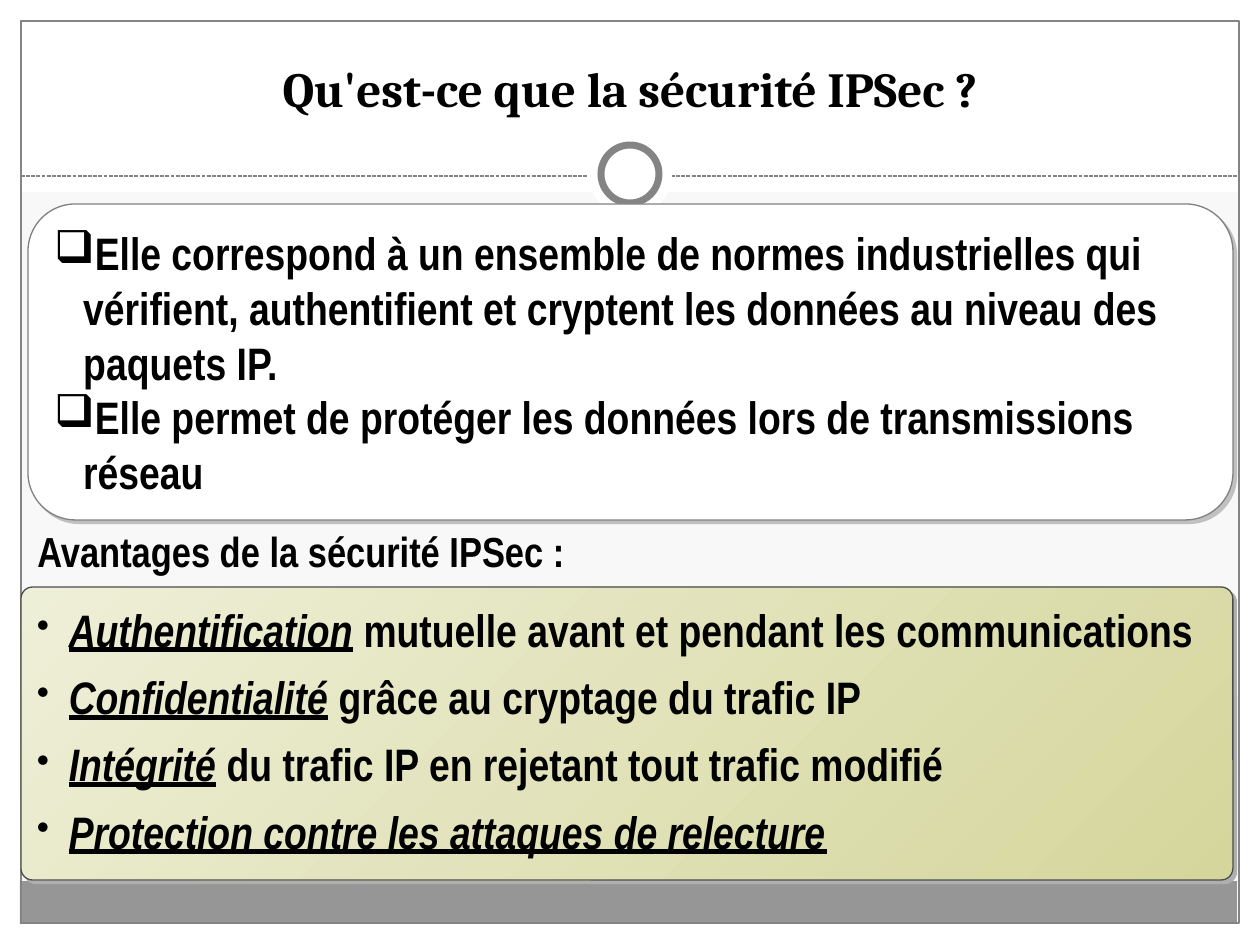
"""Build the slide that introduces IPSec security and its advantages."""
from lxml.etree import SubElement
from pptx import Presentation
from pptx.dml.color import RGBColor
from pptx.enum.dml import MSO_LINE
from pptx.enum.shapes import MSO_CONNECTOR, MSO_SHAPE
from pptx.enum.text import MSO_ANCHOR, MSO_AUTO_SIZE, PP_ALIGN
from pptx.oxml.ns import qn
from pptx.util import Emu, Pt

PX = 914400 / 126
WHITE = RGBColor(0xFF, 0xFF, 0xFF)
BLACK = RGBColor(0, 0, 0)
BACKGROUND = RGBColor(0xF8, 0xF8, 0xF8)
FOOTER_GRAY = RGBColor(0x96, 0x96, 0x96)
RULE_GRAY = RGBColor(0x84, 0x84, 0x84)
DEFINITION_LINE = RGBColor(0x80, 0x80, 0x80)
ADVANTAGE_LINE = RGBColor(0x4D, 0x4D, 0x4D)
ADVANTAGE_FILL = [RGBColor(0xEE, 0xEF, 0xD7), RGBColor(0xD5, 0xD6, 0x9C)]

TITLE = "Qu'est-ce que la sécurité IPSec ?"
DEFINITIONS = [
    ("", "Elle correspond à un ensemble de normes industrielles qui vérifient, "
         "authentifient et cryptent les données au niveau des paquets IP."),
    ("", "Elle permet de protéger les données lors de transmissions réseau"),
]
HEADING = "Avantages de la sécurité IPSec :"
ADVANTAGES = [
    ("Authentification", " mutuelle avant et pendant les communications"),
    ("Confidentialité", " grâce au cryptage du trafic IP"),
    ("Intégrité", " du trafic IP en rejetant tout trafic modifié"),
    ("Protection contre les attaques de relecture", ""),
]

WIDTH, HEIGHT, MARGIN, HEADER, RULE_Y = 1260, 945, 21, 192, 176
FRAME = [
    (MSO_SHAPE.RECTANGLE, (0, HEIGHT - MARGIN, WIDTH, MARGIN), WHITE, None),
    (MSO_SHAPE.RECTANGLE, (0, 0, WIDTH, HEADER), WHITE, None),
    (MSO_SHAPE.RECTANGLE, (0, 0, MARGIN, HEIGHT), WHITE, None),
    (MSO_SHAPE.RECTANGLE, (WIDTH - MARGIN, 0, MARGIN, HEIGHT), WHITE, None),
    (MSO_SHAPE.RECTANGLE, (20, 881, 1217, 43), FOOTER_GRAY, None),
    (MSO_SHAPE.RECTANGLE, (MARGIN, MARGIN, 1218, 902), None, 0.75),
]
RING = [
    (MSO_SHAPE.OVAL, (588, 132, 84, 84), WHITE, None),
    (MSO_SHAPE.OVAL, (601, 145, 58, 58), WHITE, 4),
]
TITLE_FONT = {"name": "Cambria", "size": Pt(28), "bold": True}
BODY_FONT = {"name": "Arial Narrow", "size": Pt(26), "bold": True}
HEADING_FONT = BODY_FONT | {"size": Pt(24)}
KEYWORD_FONT = BODY_FONT | {"italic": True, "underline": True}


def px(*lengths):
    return [Emu(round(length * PX)) for length in lengths]


def format_font(font, values):
    for key, value in values.items():
        setattr(font, key, value)
    font.color.rgb = BLACK


def add_block(slide, kind, box, fill, line_width, line_color=RULE_GRAY):
    block = slide.shapes.add_shape(kind, *px(*box))
    block.shadow.inherit = False
    if fill is None:
        block.fill.background()
    else:
        block.fill.solid()
        block.fill.fore_color.rgb = fill
    if line_width is None:
        block.line.fill.background()
    else:
        block.line.color.rgb = line_color
        block.line.width = Pt(line_width)
    return block


def add_rule(slide):
    ends = px(MARGIN, RULE_Y, WIDTH - MARGIN, RULE_Y)
    rule = slide.shapes.add_connector(MSO_CONNECTOR.STRAIGHT, *ends)
    rule.line.color.rgb = RULE_GRAY
    rule.line.width = Pt(0.75)
    rule.line.dash_style = MSO_LINE.SQUARE_DOT
    SubElement(rule._element.spPr, qn("a:effectLst"))


def add_panel(slide, box, corner, fill, line_color, shadow_color):
    panel = add_block(slide, MSO_SHAPE.ROUNDED_RECTANGLE, box, fill, 0.75, line_color)
    panel.adjustments[0] = corner
    effects = panel._element.spPr.find(qn("a:effectLst"))
    shadow = SubElement(effects, qn("a:outerShdw"), blurRad="0", dist=str(Pt(2.8)),
                        dir="2700000", algn="ctr", rotWithShape="0")
    SubElement(shadow, qn("a:srgbClr"), val=shadow_color)
    return panel


def fill_list(panel, items, bullet, bullet_size, indent, spacing, gap):
    frame = panel.text_frame
    frame.word_wrap = True
    frame.vertical_anchor = MSO_ANCHOR.MIDDLE
    for index, (keyword, rest) in enumerate(items):
        paragraph = frame.add_paragraph() if index else frame.paragraphs[0]
        paragraph.alignment = PP_ALIGN.LEFT
        paragraph.line_spacing = spacing
        paragraph.space_before = Pt(gap if index else 0)
        properties = paragraph._p.get_or_add_pPr()
        hanging = px(indent)[0]
        properties.set("marL", str(hanging))
        properties.set("indent", str(-hanging))
        SubElement(properties, qn("a:buSzPct"), val=str(bullet_size * 1000))
        SubElement(properties, qn("a:buChar"), char=bullet)
        for words, values in ((keyword, KEYWORD_FONT), (rest, BODY_FONT)):
            if words:
                run = paragraph.add_run()
                run.text = words
                format_font(run.font, values)


def fill_line(shape, words, values, alignment, anchor):
    frame = shape.text_frame
    frame.auto_size = MSO_AUTO_SIZE.NONE
    frame.vertical_anchor = anchor
    paragraph = frame.paragraphs[0]
    paragraph.alignment = alignment
    run = paragraph.add_run()
    run.text = words
    format_font(run.font, values)


def main():
    deck = Presentation()
    deck.slide_width, deck.slide_height = px(WIDTH, HEIGHT)
    slide = deck.slides.add_slide(deck.slide_layouts[5])
    slide.background.fill.solid()
    slide.background.fill.fore_color.rgb = BACKGROUND

    for block in FRAME:
        add_block(slide, *block)
    add_rule(slide)
    for block in RING:
        add_block(slide, *block)

    title = slide.shapes.title
    title.left, title.top, title.width, title.height = px(24, 48, 1212, 76)
    fill_line(title, TITLE, TITLE_FONT, PP_ALIGN.CENTER, MSO_ANCHOR.BOTTOM)
    slide.shapes._spTree.append(title._element)

    definition = add_panel(slide, (28, 204, 1205, 316), 0.15, WHITE,
                           DEFINITION_LINE, "C0C0C0")
    fill_list(definition, DEFINITIONS, "❑", 100, 29, 1.0, 0)

    advantage = add_panel(slide, (21, 587, 1212, 293), 0.04, WHITE,
                          ADVANTAGE_LINE, "AFAFAF")
    advantage.fill.gradient()
    advantage.fill.gradient_angle = 315
    for stop, color, position in zip(advantage.fill.gradient_stops, ADVANTAGE_FILL, (0, 1)):
        stop.color.rgb = color
        stop.position = position
    fill_list(advantage, ADVANTAGES, "•", 80, 32, 0.9, 10.4)

    heading = slide.shapes.add_textbox(*px(25, 519, 568, 63))
    heading.text_frame.word_wrap = False
    fill_line(heading, HEADING, HEADING_FONT, PP_ALIGN.LEFT, MSO_ANCHOR.TOP)

    deck.save("out.pptx")


if __name__ == "__main__":
    main()
